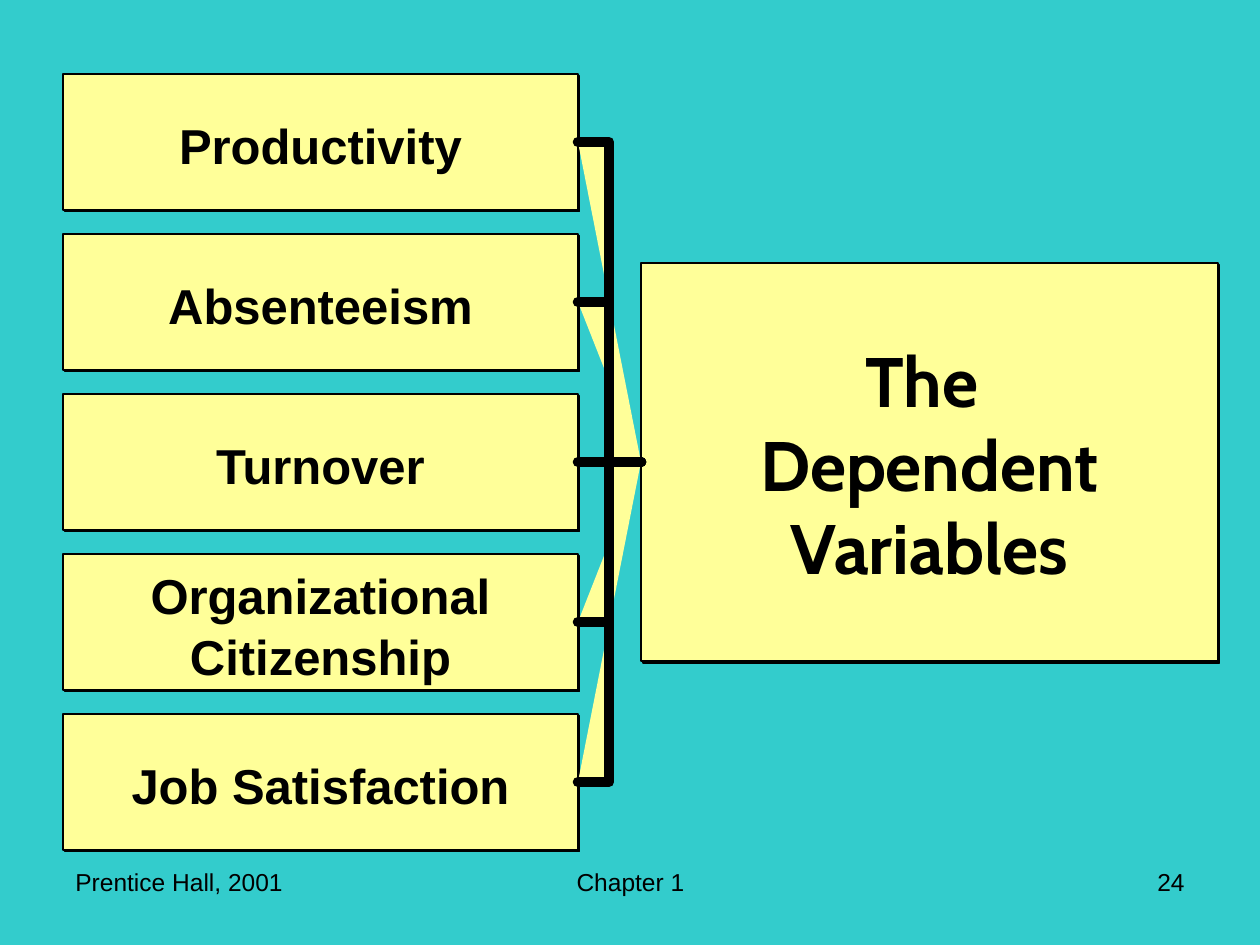
from dataclasses import dataclass

from lxml import etree
from pptx import Presentation
from pptx import util as u
from pptx.dml.color import RGBColor
from pptx.enum import shapes, text
from pptx.oxml.ns import qn


@dataclass(frozen=True)
class Theme:
    background: RGBColor = RGBColor(0x33, 0xCC, 0xCC)
    card: RGBColor = RGBColor(0xFF, 0xFF, 0x99)
    ink: RGBColor = RGBColor(0, 0, 0)
    body_font: str = "Arial"
    heading_font: str = "Cabin"
    heading_size: int = 40
    label_size: int = 28
    footer_size: int = 14
    outline: int = 1
    branch: int = 6


@dataclass(frozen=True)
class Area:
    left: int
    top: int
    width: int
    height: int

    @property
    def right(self) -> int:
        return self.left + self.width

    @property
    def middle(self) -> int:
        return self.top + self.height // 2


@dataclass(frozen=True)
class Variable:
    lines: tuple[str, ...]
    row: int


@dataclass(frozen=True)
class Footer:
    words: str
    area: Area
    align: text.PP_ALIGN


THEME = Theme()
PX_PER_INCH = 126
ROW_PITCH = 160
FIRST_CARD = Area(63, 74, 515, 136)
PANEL = Area(641, 263, 577, 398)
HEADING = Area(654, 270, 551, 386)
HEADING_LINES = ("The ", "Dependent", "Variables")
VARIABLES = (
    Variable(("Productivity",), 0),
    Variable(("Absenteeism",), 1),
    Variable(("Job Satisfaction",), 4),
    Variable(("Organizational", "Citizenship"), 3),
    Variable(("Turnover",), 2),
)
FOOTERS = (
    Footer("Chapter 1", Area(431, 861, 399, 66), text.PP_ALIGN.CENTER),
    Footer("24", Area(903, 861, 294, 66), text.PP_ALIGN.RIGHT),
    Footer("Prentice Hall, 2001", Area(63, 861, 294, 66), text.PP_ALIGN.LEFT),
)


def px(length: int) -> u.Emu:
    return u.Emu(round(length * 914400 / PX_PER_INCH))


def bounds(area: Area) -> tuple[u.Emu, ...]:
    return px(area.left), px(area.top), px(area.width), px(area.height)


def write(frame, lines: tuple[str, ...], font: str, size: int,
          align=text.PP_ALIGN.CENTER, bold: bool = True, spacing: float = 1.0) -> None:
    for index, words in enumerate(lines):
        para = frame.add_paragraph() if index else frame.paragraphs[0]
        para.alignment = align
        para.line_spacing = spacing
        span = para.add_run()
        span.text = words
        span.font.name = font
        span.font.size = u.Pt(size)
        span.font.bold = bold
        span.font.color.rgb = THEME.ink


def add_box(page, area: Area, outlined: bool = True):
    box = page.shapes.add_shape(shapes.MSO_SHAPE.RECTANGLE, *bounds(area))
    box.shadow.inherit = False
    box.fill.solid()
    box.fill.fore_color.rgb = THEME.card
    box.text_frame.word_wrap = False
    box.text_frame.vertical_anchor = text.MSO_ANCHOR.MIDDLE
    if outlined:
        box.line.color.rgb = THEME.ink
        box.line.width = u.Pt(THEME.outline)
        add_shadow(box)
    else:
        box.line.fill.background()
    return box


def add_shadow(box) -> None:
    effects = box._element.spPr.find(qn("a:effectLst"))
    shadow = etree.SubElement(effects, qn("a:outerShdw"), blurRad="0",
                              dist=str(u.Pt(1.4)), dir="2700000", algn="ctr", rotWithShape="0")
    etree.SubElement(shadow, qn("a:srgbClr"), val=str(THEME.ink))


def style_branch(branch) -> None:
    branch.line.color.rgb = THEME.ink
    branch.line.width = u.Pt(THEME.branch)
    outline = branch.line._get_or_add_ln()
    outline.set("cap", "rnd")
    etree.SubElement(outline, qn("a:round"))


def add_bent_branch(page, card: Area) -> None:
    bend = (card.right + PANEL.left) // 2
    builder = page.shapes.build_freeform(px(PANEL.left), px(PANEL.middle))
    corners = ((bend, PANEL.middle), (bend, card.middle), (card.right, card.middle))
    builder.add_line_segments([(px(x), px(y)) for x, y in corners], close=False)
    branch = builder.convert_to_shape()
    branch.shadow.inherit = False
    branch.fill.solid()
    branch.fill.fore_color.rgb = THEME.card
    style_branch(branch)


def add_straight_branch(page, box, panel) -> None:
    branch = page.shapes.add_connector(shapes.MSO_CONNECTOR.STRAIGHT, 0, 0, 0, 0)
    branch.begin_connect(box, 3)
    branch.end_connect(panel, 1)
    style_branch(branch)
    etree.SubElement(branch._element.spPr, qn("a:effectLst"))


def add_variable(page, variable: Variable, panel) -> None:
    card = Area(FIRST_CARD.left, FIRST_CARD.top + variable.row * ROW_PITCH,
                FIRST_CARD.width, FIRST_CARD.height)
    box = add_box(page, card)
    box.text_frame.margin_top = px(10)
    write(box.text_frame, variable.lines, THEME.body_font, THEME.label_size, spacing=1.05)
    if card.middle == PANEL.middle:
        add_straight_branch(page, box, panel)
    else:
        add_bent_branch(page, card)


def add_footer(page, footer: Footer) -> None:
    box = page.shapes.add_textbox(*bounds(footer.area))
    box.text_frame.word_wrap = True
    write(box.text_frame, (footer.words,), THEME.body_font, THEME.footer_size,
          footer.align, bold=False)


def main() -> None:
    deck = Presentation()
    deck.slide_width, deck.slide_height = px(1260), px(945)
    page = deck.slides.add_slide(deck.slide_layouts[6])
    page.background.fill.solid()
    page.background.fill.fore_color.rgb = THEME.background

    panel = add_box(page, PANEL)
    heading = add_box(page, HEADING, outlined=False)
    write(heading.text_frame, HEADING_LINES, THEME.heading_font, THEME.heading_size)
    for variable in VARIABLES:
        add_variable(page, variable, panel)
    for footer in FOOTERS:
        add_footer(page, footer)
    deck.save("out.pptx")


if __name__ == "__main__":
    main()
